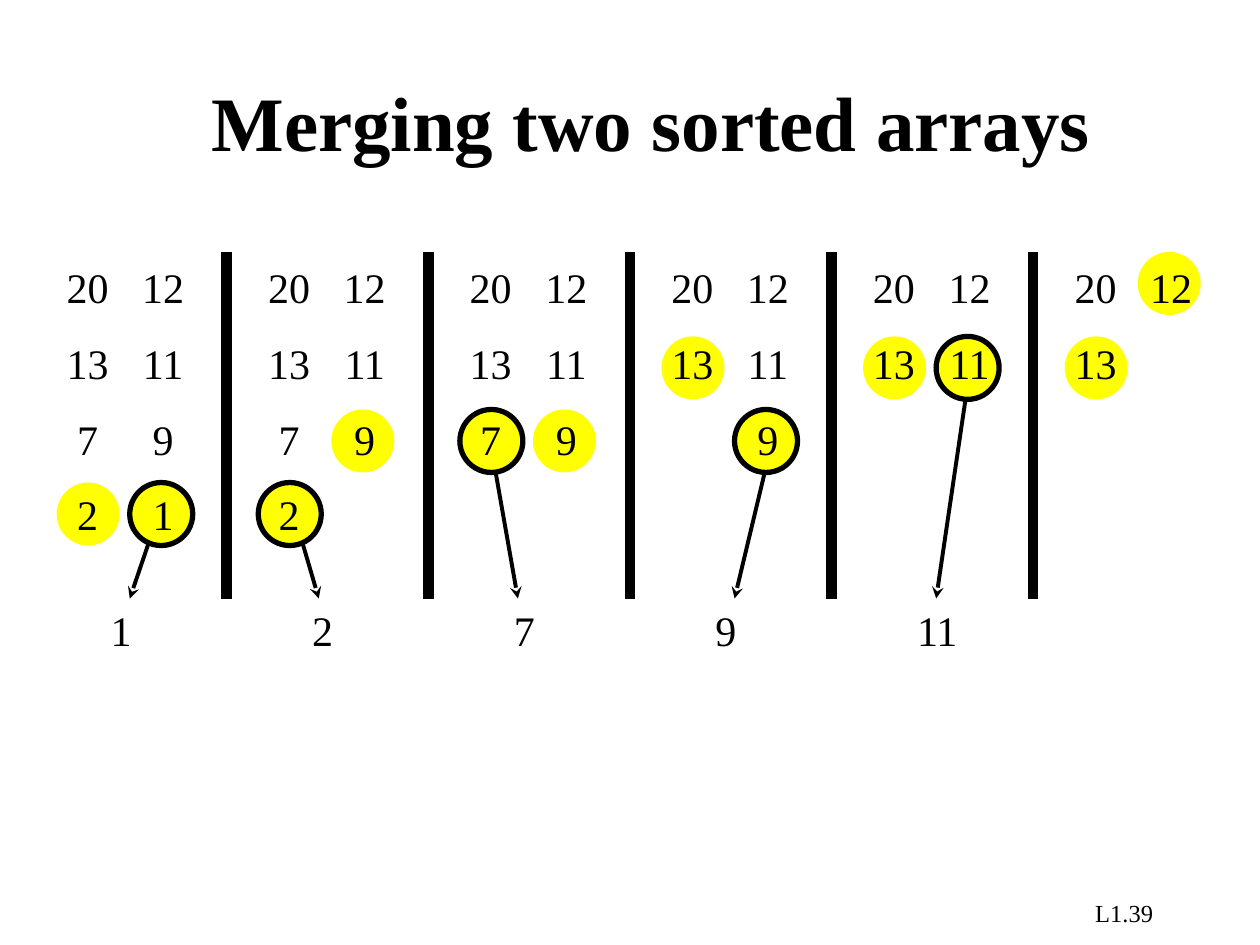
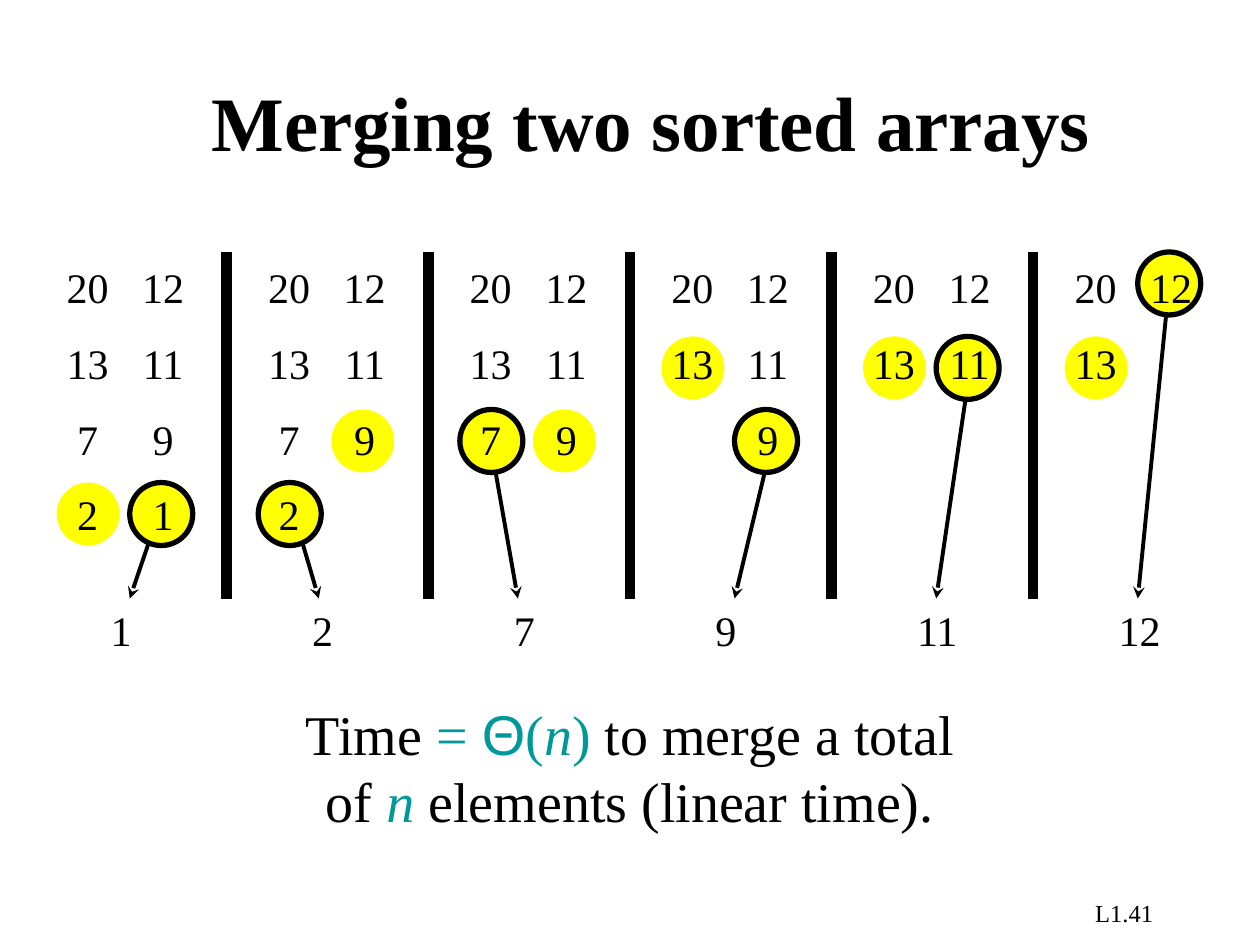
from pptx import Presentation, util as u
from pptx.dml.color import RGBColor
from pptx.enum import shapes, text
from pptx.oxml import parse_xml
from pptx.oxml.ns import nsdecls, qn

BLACK = RGBColor(0, 0, 0)
WHITE = RGBColor(255, 255, 255)
YELLOW = RGBColor(255, 255, 0)
TEAL = RGBColor(0, 153, 153)
SERIF, SANS = "Times New Roman", "Arial"
LEFT, CENTER, RIGHT = text.PP_ALIGN.LEFT, text.PP_ALIGN.CENTER, text.PP_ALIGN.RIGHT

TITLE_BOX = (1.58, 0.33, 8.25, 1.25)
FOOTER_BOX = (7.17, 7.08, 2.08, 0.25)
CLOSING_BOX = (2.24, 5.5, 5.52, 1.17)
BOARD_BOX = (0.2, 2, 9.6, 2.75)

LEFT_ARRAY, RIGHT_ARRAY = [20, 13, 7, 2], [12, 11, 9, 1]
PANELS = 6
ROW_TOPS = [0, 0.67, 1.25, 1.83]
TEXT_COLUMNS, CIRCLE_COLUMNS = (0.23, 0.83), (0.25, 0.83)
CIRCLE, CELL_WIDTH, LINE_STEP = 0.5, 0.53, 0.6
ARROWS = [((1, 2.25), 0.83), ((0.56, 2.17), 0.73), ((0.46, 1.33), 0.71),
          ((1.11, 1.58), 0.83), ((1.1, 0.92), 0.83), ((1.08, 0.25), 0.83)]


def inches(*lengths):
    """Convert numbers to inches."""
    return [u.Inches(length) for length in lengths]


def add_text(s, box, paragraphs, size, align=LEFT, wrap=True, spacing=None, anchor=None, **base):
    """Place a text box whose paragraphs are lists of (text, format) runs."""
    tf = s.shapes.add_textbox(*inches(*box)).text_frame
    tf.word_wrap = wrap
    tf.vertical_anchor = anchor
    for i, runs in enumerate(paragraphs):
        p = tf.paragraphs[0] if i == 0 else tf.add_paragraph()
        p.alignment, p.line_spacing = align, spacing
        for words, changes in runs:
            r = p.add_run()
            r.text = words
            style = {"name": SERIF, "size": u.Pt(size), "color": BLACK, **base, **changes}
            r.font.color.rgb = style.pop("color")
            for key, value in style.items():
                setattr(r.font, key, value)


def add_line(s, start, end, width, arrow=False):
    """Draw a black line, with a stealth arrowhead at its end if asked."""
    line = s.shapes.add_connector(shapes.MSO_CONNECTOR.STRAIGHT, *inches(*start, *end))
    line.line.color.rgb = BLACK
    line.line.width = u.Pt(width)
    if arrow:
        line.line._get_or_add_ln().append(
            parse_xml(f'<a:tailEnd {nsdecls("a")} type="stealth"/>'))
    line._element.find(qn("p:spPr")).append(parse_xml(f'<a:effectLst {nsdecls("a")}/>'))


def add_circle(s, left, top, outlined):
    """Mark an array's smallest remaining element."""
    sp = s.shapes.add_shape(shapes.MSO_SHAPE.OVAL, *inches(left, top, CIRCLE, CIRCLE))
    sp.shadow.inherit = False
    sp.fill.solid()
    sp.fill.fore_color.rgb = YELLOW
    if outlined:
        sp.line.color.rgb = BLACK
        sp.line.width = u.Pt(3)
    else:
        sp.line.fill.background()


def add_panel(s, box, arrays, arrow, taken):
    """Draw one merge step; taken is the column that gives its element, or None."""
    left, top, _, height = box
    bottom = top + height
    if taken is not None:
        (dx, dy), end = arrow
        add_line(s, (left + dx, top + dy), (left + end, bottom), 2.25, arrow=True)
    for column, values in enumerate(arrays):
        add_circle(s, left + CIRCLE_COLUMNS[column], top + ROW_TOPS[len(values) - 1],
                   column == taken)
    for column, values in enumerate(arrays):
        cell = (left + TEXT_COLUMNS[column], top - 0.17, CELL_WIDTH,
                0.1 + LINE_STEP * len(values))
        add_text(s, cell, [[(str(v), {})] for v in values], 24, CENTER, False, 1.5)
    if taken is not None:
        result = str(arrays[taken][-1])
        width = 0.2 + 0.17 * len(result)
        add_text(s, (left + 0.58, bottom, width, 0.5), [[(result, {})]], 24, wrap=False)


def add_board(s, box, merged):
    """Lay out all merge steps, of which the first few have been carried out."""
    left, top, width, height = box
    pitch = width / PANELS
    arrays = [LEFT_ARRAY[:], RIGHT_ARRAY[:]]
    for i, arrow in enumerate(ARROWS):
        smaller = 0 if arrays[0][-1] < arrays[1][-1] else 1
        add_panel(s, (left + i * pitch, top, pitch, height), arrays, arrow,
                  smaller if i < merged else None)
        arrays[smaller].pop()
    for i in range(1, PANELS):
        x = left + i * pitch
        add_line(s, (x, top), (x, top + height), 6)


def add_merge_slide(prs, number, merged):
    """Add a slide with title, merge board and page number."""
    s = prs.slides.add_slide(prs.slide_layouts[6])
    s.background.fill.solid()
    s.background.fill.fore_color.rgb = WHITE
    add_text(s, FOOTER_BOX, [[(number, {})]], 14, RIGHT)
    add_text(s, TITLE_BOX, [[("Merging two sorted arrays", {})]], 44,
             anchor=text.MSO_ANCHOR.MIDDLE, bold=True)
    add_board(s, BOARD_BOX, merged)
    return s


def add_closing(s, box):
    """State the running time below the board."""
    teal, variable = {"color": TEAL}, {"color": TEAL, "italic": True}
    runs = [("Time ", {}), ("= ", teal), ("Θ", {"color": TEAL, "name": SANS}), ("(", teal),
            ("n", variable), (") ", teal), ("to merge a total of ", {}), ("n", variable),
            (" elements (linear time).", {})]
    add_text(s, box, [runs], 32, CENTER)


prs = Presentation()
prs.slide_width, prs.slide_height = inches(10, 7.5)
add_merge_slide(prs, "L1.39", PANELS - 1)
add_closing(add_merge_slide(prs, "L1.41", PANELS), CLOSING_BOX)
prs.save("out.pptx")
